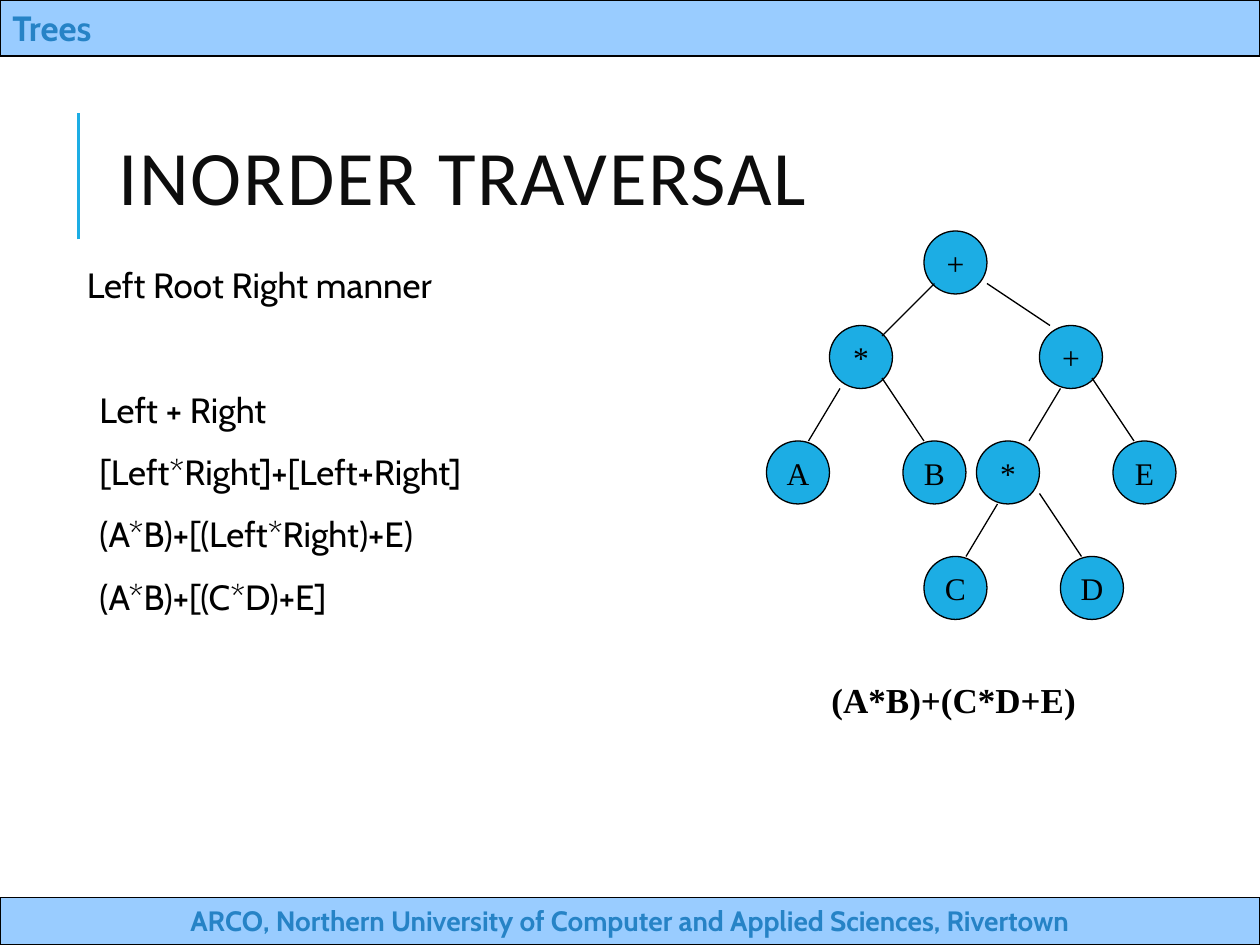
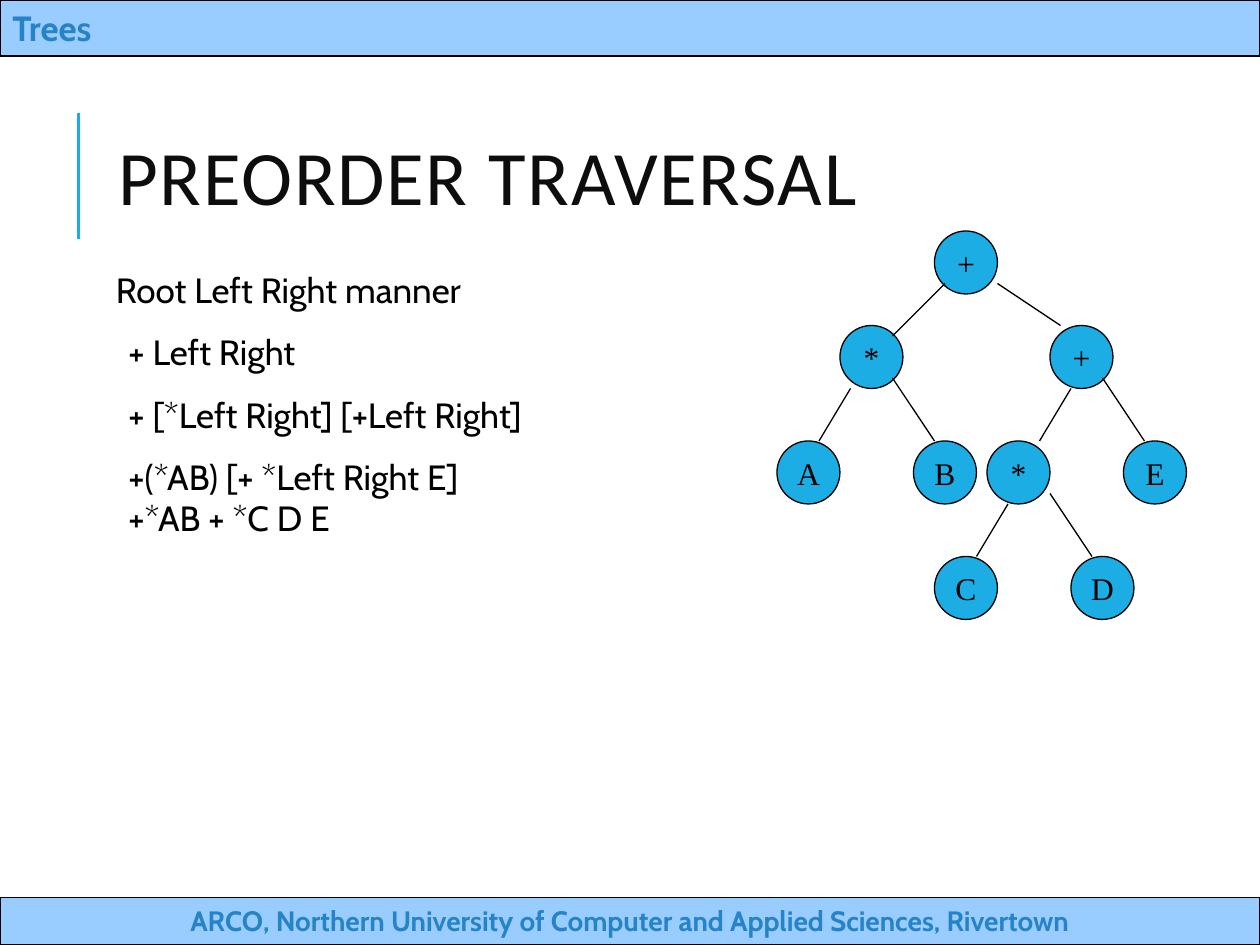
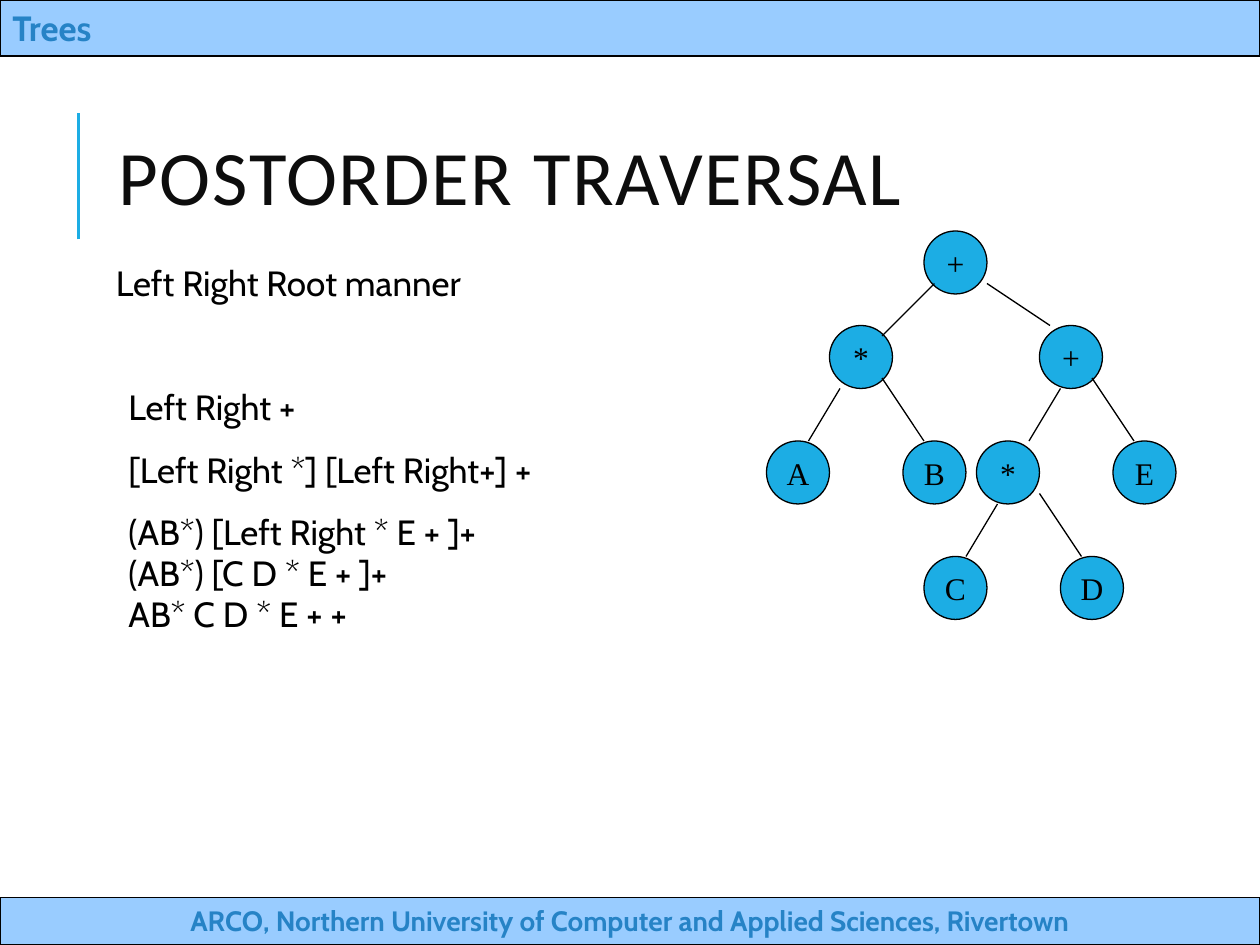
from dataclasses import dataclass
from typing import NamedTuple

from lxml import etree
from pptx import Presentation
from pptx.dml.color import RGBColor
from pptx.enum.shapes import MSO_CONNECTOR, MSO_SHAPE
from pptx.enum.text import MSO_ANCHOR, MSO_AUTO_SIZE, PP_ALIGN
from pptx.oxml.ns import qn
from pptx.util import Pt

STRAIGHT = MSO_CONNECTOR.STRAIGHT
RECT, OVAL = MSO_SHAPE.RECTANGLE, MSO_SHAPE.OVAL
TOP, MIDDLE = MSO_ANCHOR.TOP, MSO_ANCHOR.MIDDLE
LEFT, CENTER = PP_ALIGN.LEFT, PP_ALIGN.CENTER
NO_FIT = MSO_AUTO_SIZE.NONE


class TextStyle(NamedTuple):
    font: str
    size: float
    color: str
    bold: bool = False


@dataclass(frozen=True)
class Theme:
    accent: str = "1CADE4"
    band: str = "99CCFF"
    ink: str = "000000"
    hairline: float = 0.75
    rule: float = 1.5
    title: TextStyle = TextStyle("Calibri", 44, "0D0D0D")
    body: TextStyle = TextStyle("Cabin", 20, "000000")
    header: TextStyle = TextStyle("Cabin", 20, "2683C6", True)
    footer: TextStyle = TextStyle("Cabin", 16, "2683C6", True)
    node: TextStyle = TextStyle("Times New Roman", 18, "000000")
    result: TextStyle = TextStyle("Times New Roman", 20, "000000", True)


THEME = Theme()


class Box(NamedTuple):
    left: float
    top: float
    width: float
    height: float


class Band(NamedTuple):
    text: str
    box: Box
    style: TextStyle
    align: PP_ALIGN


class Node(NamedTuple):
    label: str
    x: float
    y: float


class Edge(NamedTuple):
    x1: float
    y1: float
    x2: float
    y2: float


class Step(NamedTuple):
    text: str
    before: float = 12


@dataclass(frozen=True)
class Traversal:
    title: str
    manner: str
    steps: tuple[Step, ...]
    body: Box
    tree_left: float
    result: str = ""


# Shared layout, in points
WIDTH, HEIGHT = 720, 540
TITLE_BOX = Box(60.5, 46, 574, 118)
RESULT_BOX = Box(468, 384, 234, 31)
TITLE_RULE = Edge(44.8, 136.8, 44.8, 64.8)
INDENT, INSET = 7.2, 3.6
WIDE_GAP = 47.6
BANDS = (
    Band("ARCO, Northern University of Computer and Applied Sciences, Rivertown",
         Box(0, 512.8, WIDTH, 27.2), THEME.footer, CENTER),
    Band("Trees", Box(0, 0, WIDTH, 32), THEME.header, LEFT),
)

# Expression tree, measured from its own top-left corner
TREE_TOP, NODE_SIZE = 132, 36
ROWS = (0, 54, 120, 186)
NODES = (
    Node("+", 90, ROWS[0]),
    Node("*", 36, ROWS[1]), Node("+", 156, ROWS[1]),
    Node("A", 0, ROWS[2]), Node("B", 78, ROWS[2]),
    Node("*", 120, ROWS[2]), Node("E", 198, ROWS[2]),
    Node("C", 90, ROWS[3]), Node("D", 168, ROWS[3]),
)
EDGES = (
    Edge(96, 30, 66, 60), Edge(126, 30, 162, ROWS[1]),
    Edge(42, 90, 24, ROWS[2]), Edge(66, 84, 90, ROWS[2]),
    Edge(168, 90, 150, ROWS[2]), Edge(186, 84, 210, ROWS[2]),
    Edge(132, 156, 114, ROWS[3]), Edge(156, 150, 180, ROWS[3]),
)

TRAVERSALS = (
    Traversal(
        "INORDER TRAVERSAL", "Left Root Right manner",
        (Step("Left + Right", WIDE_GAP), Step("[Left*Right]+[Left+Right]"),
         Step("(A*B)+[(Left*Right)+E)"), Step("(A*B)+[(C*D)+E]")),
        Box(46, 149.8, 500, 402), 438, "(A*B)+(C*D+E)"),
    Traversal(
        "PREORDER TRAVERSAL", "Root Left Right manner",
        (Step("+ Left Right"), Step("+ [*Left Right] [+Left Right]"),
         Step("+(*AB) [+ *Left Right E]"), Step("+*AB + *C D E", 0)),
        Box(62.6, 152.6, 487, 402), 444),
    Traversal(
        "POSTORDER TRAVERSAL", "Left Right Root manner",
        (Step("Left Right +", WIDE_GAP), Step("[Left Right *] [Left Right+] +"),
         Step("(AB*) [Left Right * E + ]+"), Step("(AB*) [C D * E + ]+", 0),
         Step("AB* C D * E + +", 0)),
        Box(62.6, 148.3, 487, 402), 438),
)


def rgb(color: str) -> RGBColor:
    return RGBColor.from_string(color)


def style_paragraph(p, style: TextStyle, align: PP_ALIGN = LEFT) -> None:
    p.alignment = align
    for r in p.runs:
        r.font.name = style.font
        r.font.size = Pt(style.size)
        r.font.bold = style.bold
        r.font.color.rgb = rgb(style.color)


def place(sp, box: Box) -> None:
    sp.left, sp.top, sp.width, sp.height = map(Pt, box)


def add_line(shapes, edge: Edge, color: str, width: float) -> None:
    line = shapes.add_connector(STRAIGHT, *map(Pt, edge))
    line.line.color.rgb = rgb(color)
    line.line.width = Pt(width)
    etree.SubElement(line._element.spPr, qn("a:effectLst"))


def add_label_shape(shapes, kind: MSO_SHAPE, box: Box, fill: str, text: str,
                    style: TextStyle, align: PP_ALIGN, anchor: MSO_ANCHOR,
                    wrap: bool) -> None:
    sp = shapes.add_shape(kind, *map(Pt, box))
    sp.shadow.inherit = False
    sp.fill.solid()
    sp.fill.fore_color.rgb = rgb(fill)
    sp.line.color.rgb = rgb(THEME.ink)
    sp.line.width = Pt(THEME.hairline)
    tf = sp.text_frame
    tf.text = text
    tf.word_wrap = wrap
    tf.vertical_anchor = anchor
    style_paragraph(tf.paragraphs[0], style, align)


def add_frame(s) -> None:
    """Title rule with the header and footer bands."""
    add_line(s.shapes, TITLE_RULE, THEME.accent, THEME.rule)
    for band in BANDS:
        add_label_shape(s.shapes, RECT, band.box, THEME.band, band.text,
                        band.style, band.align, TOP, True)


def fill_title(sp, text: str) -> None:
    place(sp, TITLE_BOX)
    tf = sp.text_frame
    tf.text = text
    tf.auto_size = NO_FIT
    tf.vertical_anchor = MIDDLE
    p = tf.paragraphs[0]
    p.line_spacing = 0.8
    style_paragraph(p, THEME.title)
    p.runs[0]._r.get_or_add_rPr().set("spc", "100")


def set_bullet(p, bulleted: bool) -> None:
    """Hanging indent, with a blank bullet that shifts the text right."""
    pPr = p._p.get_or_add_pPr()
    pPr.set("marL", str(Pt(INDENT)))
    pPr.set("indent", str(-Pt(INDENT)))
    if bulleted:
        color = etree.SubElement(pPr, qn("a:buClr"))
        etree.SubElement(color, qn("a:srgbClr"), val=THEME.accent)
        etree.SubElement(pPr, qn("a:buChar"), char=" ")
    else:
        etree.SubElement(pPr, qn("a:buNone"))


def fill_body(sp, traversal: Traversal) -> None:
    place(sp, traversal.body)
    tf = sp.text_frame
    tf.auto_size = NO_FIT
    tf.vertical_anchor = TOP
    tf.margin_left = tf.margin_right = tf.margin_top = tf.margin_bottom = Pt(INSET)
    for i, step in enumerate((Step(traversal.manner), *traversal.steps)):
        p = tf.add_paragraph() if i else tf.paragraphs[0]
        p.text = step.text
        p.line_spacing = 0.9
        p.space_before = Pt(step.before)
        p.space_after = Pt(2)
        style_paragraph(p, THEME.body)
        set_bullet(p, i > 0)


def add_tree(s, left: float) -> None:
    shapes = s.shapes.add_group_shape().shapes
    for node in NODES:
        box = Box(left + node.x, TREE_TOP + node.y, NODE_SIZE, NODE_SIZE)
        add_label_shape(shapes, OVAL, box, THEME.accent, node.label,
                        THEME.node, CENTER, MIDDLE, False)
    for edge in EDGES:
        moved = Edge(left + edge.x1, TREE_TOP + edge.y1,
                     left + edge.x2, TREE_TOP + edge.y2)
        add_line(shapes, moved, THEME.ink, THEME.hairline)


def add_result(s, text: str) -> None:
    tf = s.shapes.add_textbox(*map(Pt, RESULT_BOX)).text_frame
    tf.text = text
    tf.word_wrap = True
    style_paragraph(tf.paragraphs[0], THEME.result)


def add_traversal(prs, traversal: Traversal) -> None:
    s = prs.slides.add_slide(prs.slide_layouts[1])
    add_frame(s)
    fill_title(s.shapes.title, traversal.title)
    fill_body(s.placeholders[1], traversal)
    add_tree(s, traversal.tree_left)
    if traversal.result:
        add_result(s, traversal.result)


def main() -> None:
    prs = Presentation()
    prs.slide_width, prs.slide_height = Pt(WIDTH), Pt(HEIGHT)
    for traversal in TRAVERSALS:
        add_traversal(prs, traversal)
    prs.save("out.pptx")


if __name__ == "__main__":
    main()
